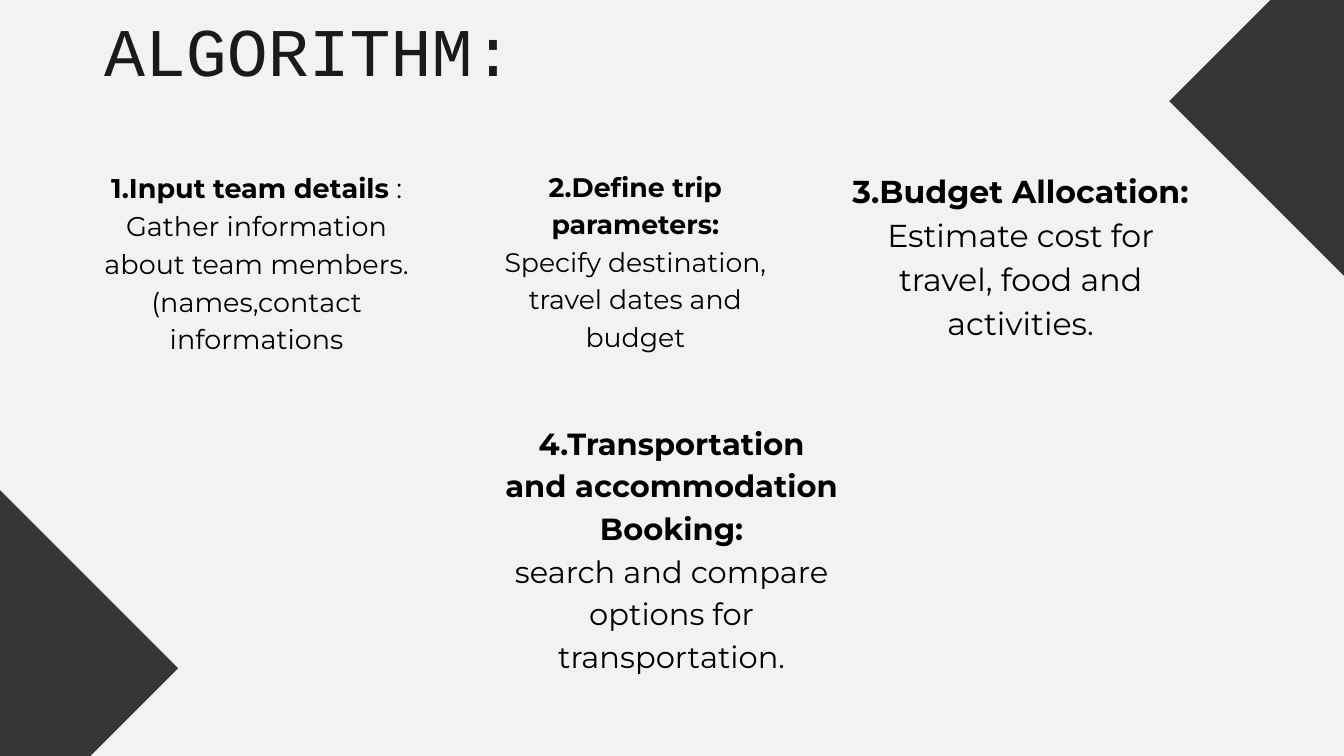
from pptx import Presentation
from pptx.dml.color import RGBColor
from pptx.enum.shapes import MSO_SHAPE as Shape
from pptx.enum.text import MSO_AUTO_SIZE as AutoSize, PP_ALIGN as Align
from pptx.util import Inches, Pt

COLORS = {"background": "F2F2F2", "diamond": "363636", "title": "1A1A1A", "body": "000000"}
DIAMOND_SIZE = 5.95
DIAMONDS = [(17.4, -1.47), (-3.3, 6.97)]
STEPS = [
    ((1.42, 2.47, 4.8, 2.77), 29, 40.6, "1.Input team details", " :",
     "Gather information about team members.(names,contact informations"),
    ((7.12, 2.46, 4.67, 2.78), 28.7, 40.1, "2.Define trip parameters:", "",
     "Specify destination, travel dates and budget"),
    ((12.68, 2.46, 5.02, 2.59), 33.9, 47.4, "3.Budget Allocation:", "",
     "Estimate cost for travel, food and activities."),
    ((7.5, 6.23, 4.99, 3.8), 32.7, 45.7, "4.Transportation and accommodation Booking:", "",
     "search and compare options for transportation."),
]


def color(name):
    """Return the named palette colour."""
    return RGBColor.from_string(COLORS[name])


def add_frame(slide, box):
    """Add a wrapping text box without margins and return its text frame."""
    frame = slide.shapes.add_textbox(*map(Inches, box)).text_frame
    frame.word_wrap = True
    frame.auto_size = AutoSize.SHAPE_TO_FIT_TEXT
    frame.margin_left = frame.margin_right = frame.margin_top = frame.margin_bottom = 0
    return frame


def style_paragraph(paragraph, font_name, size, spacing, color_name, alignment):
    """Set the alignment, line spacing and font of a paragraph."""
    paragraph.alignment = alignment
    paragraph.line_spacing = Pt(spacing)
    paragraph.font.name = font_name
    paragraph.font.size = Pt(size)
    paragraph.font.color.rgb = color(color_name)


def add_diamond(slide, left, top):
    """Add a dark corner diamond."""
    diamond = slide.shapes.add_shape(
        Shape.DIAMOND, Inches(left), Inches(top), Inches(DIAMOND_SIZE), Inches(DIAMOND_SIZE))
    diamond.shadow.inherit = False
    diamond.fill.solid()
    diamond.fill.fore_color.rgb = color("diamond")
    diamond.line.fill.background()


def add_title(slide, box, text):
    """Add the slide heading."""
    paragraph = add_frame(slide, box).paragraphs[0]
    paragraph.text = text
    style_paragraph(paragraph, "Courier New", 73.1, 87.7, "title", Align.RIGHT)


def add_step(slide, box, size, spacing, heading, suffix, description):
    """Add one step: a bold heading over its description."""
    frame = add_frame(slide, box)
    heading_paragraph = frame.paragraphs[0]
    description_paragraph = frame.add_paragraph()
    heading_run = heading_paragraph.add_run()
    heading_run.text = heading
    heading_run.font.bold = True
    if suffix:
        heading_paragraph.add_run().text = suffix
    description_paragraph.text = description
    for paragraph in frame.paragraphs:
        style_paragraph(paragraph, "Montserrat", size, spacing, "body", Align.CENTER)


def main():
    """Build and save the algorithm slide."""
    presentation = Presentation()
    presentation.slide_width = Inches(20)
    presentation.slide_height = Inches(11.25)
    slide = presentation.slides.add_slide(presentation.slide_layouts[6])
    slide.background.fill.solid()
    slide.background.fill.fore_color.rgb = color("background")
    for left, top in DIAMONDS:
        add_diamond(slide, left, top)
    for step in STEPS:
        add_step(slide, *step)
    add_title(slide, (0.56, 0.13, 7.08, 1.33), "ALGORITHM:")
    presentation.save("out.pptx")


if __name__ == "__main__":
    main()
